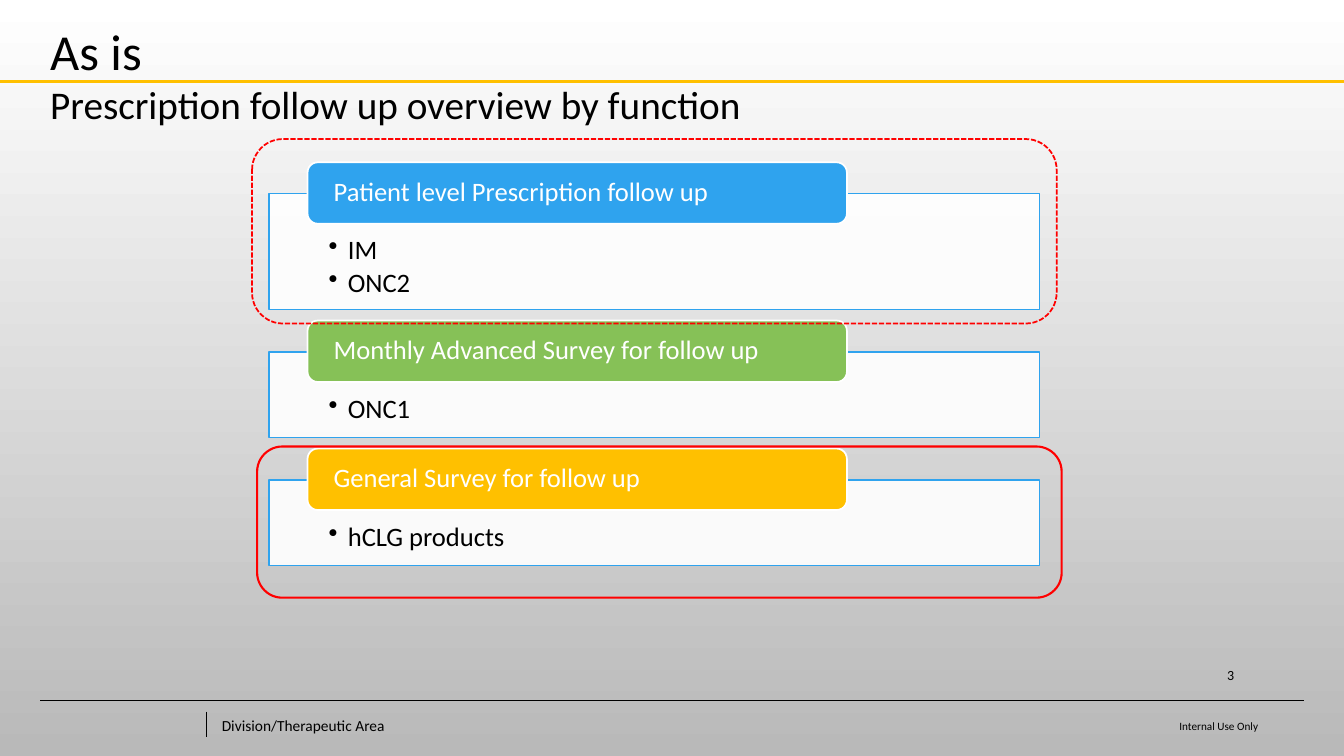
from lxml import etree
from pptx import Presentation
from pptx.dml.color import RGBColor
from pptx.enum.dml import MSO_LINE
from pptx.enum.shapes import MSO_CONNECTOR, MSO_SHAPE
from pptx.enum.text import MSO_ANCHOR, PP_ALIGN
from pptx.oxml.ns import qn
from pptx.util import Pt

PX = 9144
BLACK = RGBColor(0, 0, 0)
WHITE = RGBColor(255, 255, 255)
GRAY = RGBColor(0xB9, 0xB9, 0xB9)
BLUE = RGBColor(0x2F, 0xA3, 0xEE)
GREEN = RGBColor(0x86, 0xC1, 0x57)
GOLD = RGBColor(0xFF, 0xC0, 0)
RED = RGBColor(255, 0, 0)
RECT, ROUND = MSO_SHAPE.RECTANGLE, MSO_SHAPE.ROUNDED_RECTANGLE
STRAIGHT = MSO_CONNECTOR.STRAIGHT
DASH = MSO_LINE.SQUARE_DOT
LEFT, RIGHT = PP_ALIGN.LEFT, PP_ALIGN.RIGHT
TOP, MIDDLE, BOTTOM = MSO_ANCHOR.TOP, MSO_ANCHOR.MIDDLE, MSO_ANCHOR.BOTTOM

GROUPS = [
    (192, 115, BLUE, "Patient level Prescription follow up", ["IM", "ONC2"]),
    (349, 85, GREEN, "Monthly Advanced Survey for follow up", ["ONC1"]),
    (476, 85, GOLD, "General Survey for follow up", ["hCLG products"]),
]


def emu(*sizes):
    """Turn px lengths into EMU."""
    return [size * PX for size in sizes]


def paint(slide):
    """Fill the background from white down to gray."""
    fill = slide.background.fill
    fill.gradient()
    fill.gradient_angle = 270
    for stop, color in zip(fill.gradient_stops, (WHITE, GRAY)):
        stop.color.rgb = color


def add_line(slide, ends, color, width):
    """Draw a straight line."""
    line = slide.shapes.add_connector(STRAIGHT, *emu(*ends))
    line.line.color.rgb = color
    line.line.width = Pt(width)
    etree.SubElement(line._element.spPr, qn("a:effectLst"))


def add_box(slide, kind, area, fill, edge, width=1.25):
    """Draw a shape, hollow when it has no fill colour."""
    box = slide.shapes.add_shape(kind, *emu(*area))
    box.shadow.inherit = False
    if fill is None:
        box.fill.background()
    else:
        box.fill.solid()
        box.fill.fore_color.rgb = fill
    box.line.color.rgb = edge
    box.line.width = Pt(width)
    return box


def fade(box, share):
    """Make a solid fill partly clear."""
    color = box._element.spPr.find(qn("a:solidFill"))[0]
    etree.SubElement(color, qn("a:alpha"), val=str(share * 1000))


def add_bullet(para):
    """Give a paragraph a hanging bullet."""
    props = para._p.get_or_add_pPr()
    props.set("marL", str(19 * PX))
    props.set("indent", str(-19 * PX))
    mark = etree.Element(qn("a:buChar"), char="•")
    props.find(qn("a:defRPr")).addprevious(mark)


def write(box, rows, color=BLACK, pad=(10, 5, 10, 5), anchor=TOP, align=LEFT):
    """Write rows of text and size, and return the paragraphs."""
    frame = box.text_frame
    frame.word_wrap = True
    frame.vertical_anchor = anchor
    (frame.margin_left, frame.margin_top,
     frame.margin_right, frame.margin_bottom) = emu(*pad)
    frame.text = "\n".join(text for text, size in rows)
    for para, (text, size) in zip(frame.paragraphs, rows):
        para.alignment = align
        para.font.name = "Calibri"
        para.font.size = Pt(size)
        para.font.color.rgb = color
    return frame.paragraphs


def add_text(slide, area, rows, **style):
    """Add a text box."""
    write(slide.shapes.add_textbox(*emu(*area)), rows, **style)


def add_group(slide, top, height, color, head, items):
    """Draw a panel of bullets under its coloured heading."""
    panel = add_box(slide, RECT, (267, top, 764, height), WHITE, BLUE)
    fade(panel, 90)
    rows = [(item, 19) for item in items]
    for para in write(panel, rows, pad=(59, 43, 59, 15)):
        para.line_spacing = 0.9
        para.space_after = Pt(3)
        add_bullet(para)
    label = add_box(slide, ROUND, (305, top - 31, 535, 61), color, WHITE)
    write(label, [(head, 19)], color=WHITE, pad=(23, 3, 23, 3),
          anchor=MIDDLE)[0].line_spacing = 0.9


def add_foot(slide):
    """Add the footer rules and texts."""
    add_line(slide, (40, 695, 1293, 695), BLACK, 0.5)
    add_line(slide, (205, 706, 205, 731), BLACK, 0.5)
    add_text(slide, (220, 707, 414, 25), [("Division/Therapeutic Area", 11)],
             pad=(0, 0, 0, 0), anchor=MIDDLE)
    add_text(slide, (897, 703, 351, 25), [("Internal Use Only", 8)],
             pad=(0, 0, 0, 1), anchor=BOTTOM, align=RIGHT)
    add_text(slide, (1150, 643, 84, 40), [("3", 10)],
             anchor=BOTTOM, align=RIGHT)


def main():
    """Build and save the slide."""
    deck = Presentation()
    deck.slide_width, deck.slide_height = emu(1333, 750)
    slide = deck.slides.add_slide(deck.slide_layouts[6])
    paint(slide)
    add_foot(slide)
    for group in GROUPS:
        add_group(slide, *group)
    frame = add_box(slide, ROUND, (250, 138, 798, 183), None, RED)
    frame.line.dash_style = DASH
    add_box(slide, ROUND, (255, 443, 798, 150), None, RED, 1.5)
    add_text(slide, (40, 15, 856, 118), [
        ("As is", 36), ("Prescription follow up overview by function", 28)])
    add_line(slide, (0, 81, 1333, 81), GOLD, 2.25)
    deck.save("out.pptx")


if __name__ == "__main__":
    main()
